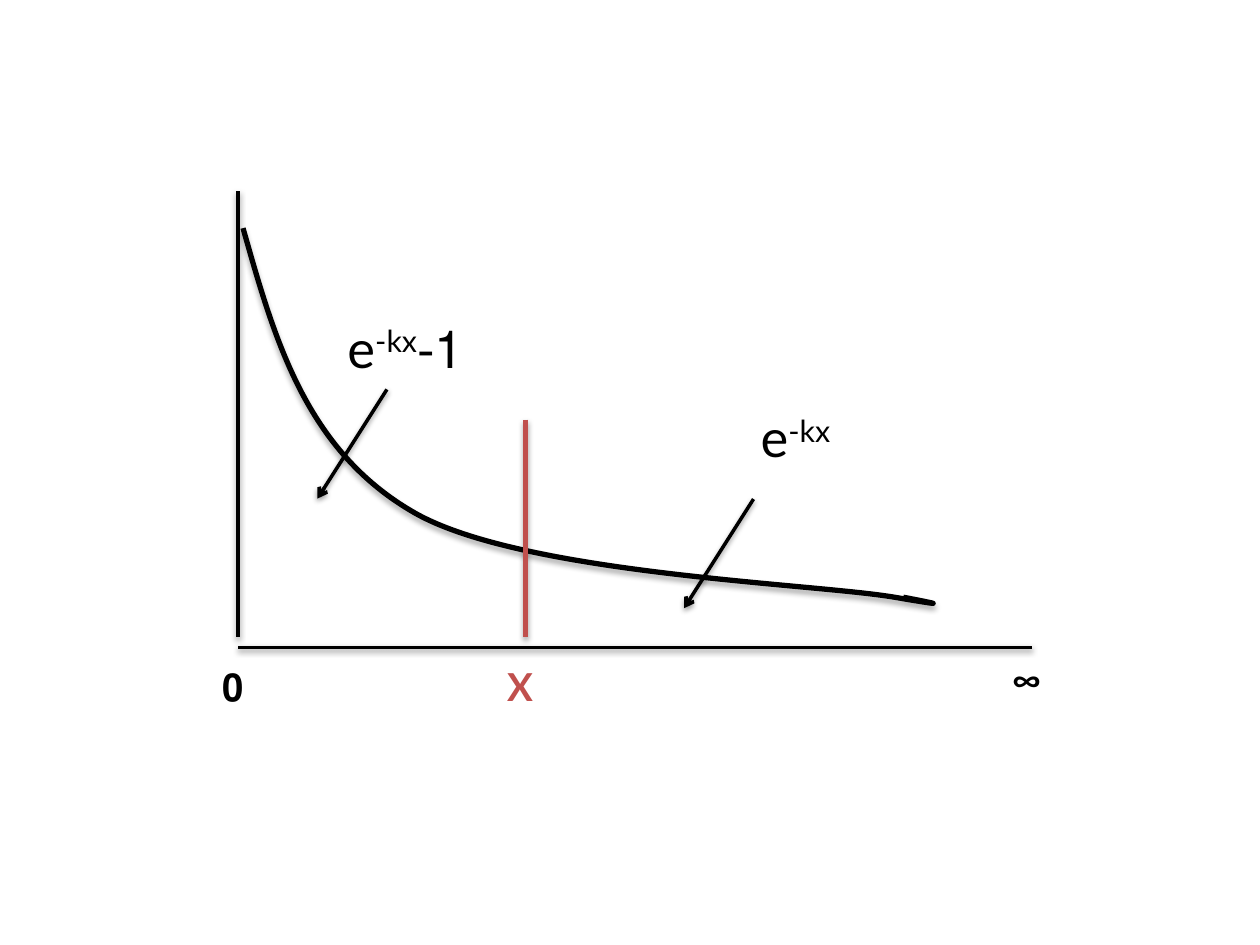
from pptx import Presentation
from pptx.dml.color import RGBColor
from pptx.enum.shapes import MSO_CONNECTOR as Link
from pptx.enum.text import MSO_AUTO_SIZE as Fit, PP_ALIGN as Align
from pptx.oxml import parse_xml
from pptx.oxml.ns import nsdecls, qn
from pptx.util import Cm, Pt
from lxml.etree import SubElement as Sub

BLACK = RGBColor(0x00, 0x00, 0x00)
RED = RGBColor(0xC0, 0x50, 0x4D)
FONT = "Lato"
CURVE = [(0.1, 0.74), (0.74, 3), (1.37, 5.23), (3.56, 6.48), (5.74, 7.72),
         (11.58, 7.9), (13.23, 8.18), (14.88, 8.46), (13.41, 8.18), (13.41, 8.18)]


def stroke(shape, color, width):
    shape.line.color.rgb = color
    shape.line.width = Pt(width)
    dist, alpha = (23000, 35000) if width == 3 else (20000, 38000)
    shape._element.spPr.append(parse_xml(
        f'<a:effectLst {nsdecls("a")}><a:outerShdw blurRad="40000" dist="{dist}" '
        f'dir="5400000" rotWithShape="0"><a:srgbClr val="000000">'
        f'<a:alpha val="{alpha}"/></a:srgbClr></a:outerShdw></a:effectLst>'))


def add_line(slide, x, y, dx, dy, color=BLACK, width=2, arrow=False):
    line = slide.shapes.add_connector(
        Link.STRAIGHT, Cm(x), Cm(y), Cm(x + dx), Cm(y + dy))
    stroke(line, color, width)
    if arrow:
        Sub(line.line._get_or_add_ln(), qn("a:tailEnd"), type="arrow")


def add_curve(slide, x, y, points):
    spots = [(Cm(x + px), Cm(y + py)) for px, py in points]
    pen = slide.shapes.build_freeform(*spots[0])
    pen.add_line_segments(spots[1:], close=False)
    curve = pen.convert_to_shape()
    curve.fill.background()
    stroke(curve, BLACK, 3)
    track = next(curve._element.iter(qn("a:path")))
    steps = track.findall(qn("a:lnTo"))
    for i in range(0, len(steps), 3):
        bend = Sub(track, qn("a:cubicBezTo"))
        for step in steps[i:i + 3]:
            bend.append(step[0])
            track.remove(step)


def add_label(slide, x, y, w, h, text, power="", size=22, color=BLACK,
              bold=False, align=Align.CENTER):
    box = slide.shapes.add_textbox(Cm(x), Cm(y), Cm(w), Cm(h))
    frame = box.text_frame
    frame.word_wrap = True
    frame.auto_size = Fit.SHAPE_TO_FIT_TEXT
    para = frame.paragraphs[0]
    para.alignment = align
    para._p.get_or_add_pPr().set("rtl", "1")
    for part, base in ((text, 0), (power, 30000)):
        if not part:
            continue
        run = para.add_run()
        run.text = part
        font = run.font
        font.name, font.size, font.bold = FONT, Pt(size), bold
        font.color.rgb = color
        if base:
            run._r.get_or_add_rPr().set("baseline", str(base))


def add_plot(slide, x, y, w, h):
    foot = h - 0.2
    add_line(slide, x, y, 0, foot)
    add_line(slide, x, y + h, w, 0)
    add_curve(slide, x, y, CURVE)
    add_line(slide, x + 5.79, y + 4.6, 0, foot - 4.6, RED, 3)
    add_label(slide, x + 5, y + h + 0.2, 1.19, 1.19, "X",
              color=RED, bold=True, align=Align.RIGHT)
    for dx, dy, text in ((14.6, 0, "∞"), (-1.4, 0.2, "0")):
        add_label(slide, x + dx, y + h + dy, 2.59, 1.19, text, bold=True)
    for dx, dy, text in ((9.19, 4.19, "e"), (1.8, 2.39, "1-e")):
        add_label(slide, x + dx, y + dy, 3, 1.55, text, "-kx",
                  size=30, align=Align.RIGHT)
    for dx, dy in ((10.39, 6.2), (3, 3.99)):
        add_line(slide, x + dx, y + dy, -1.4, 2.2, arrow=True)


def main():
    deck = Presentation()
    deck.slide_width, deck.slide_height = Cm(25.4), Cm(19.05)
    slide = deck.slides.add_slide(deck.slide_layouts[6])
    add_plot(slide, 4.8, 3.86, 16, 9.19)
    deck.save("out.pptx")


if __name__ == "__main__":
    main()
